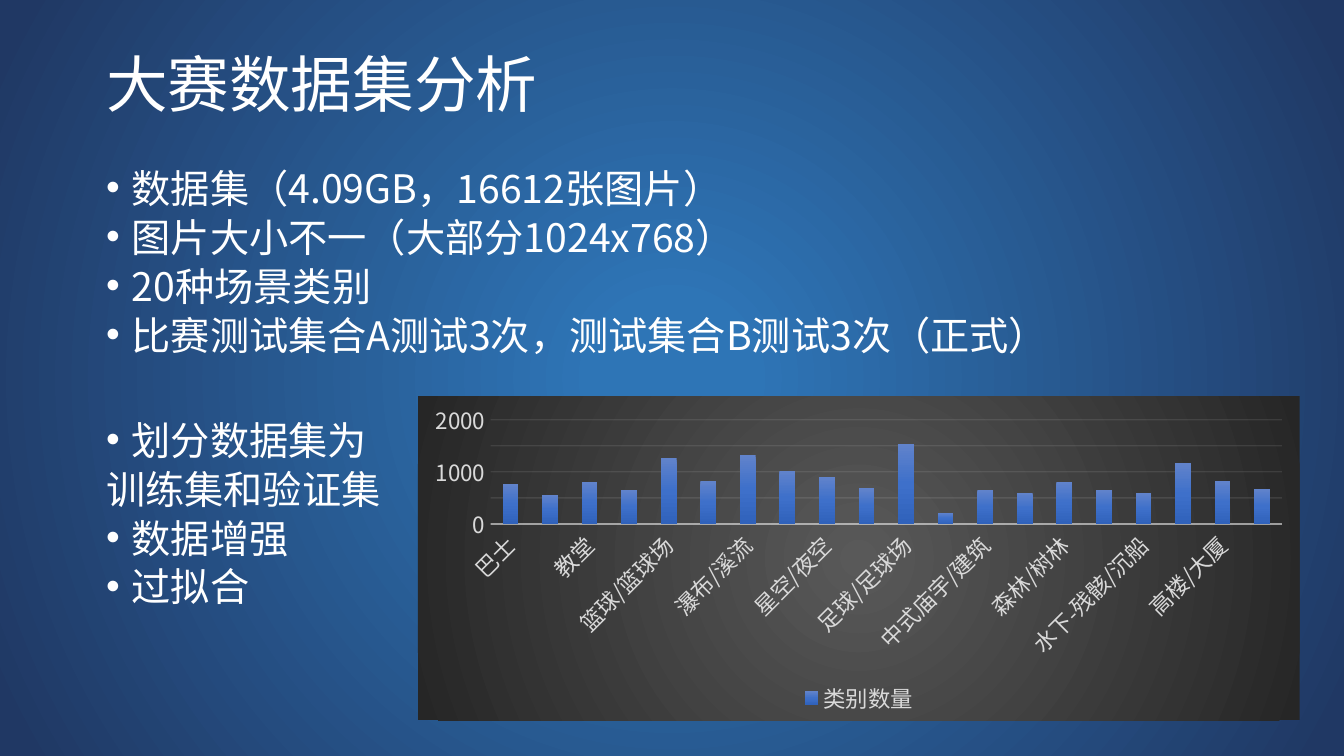
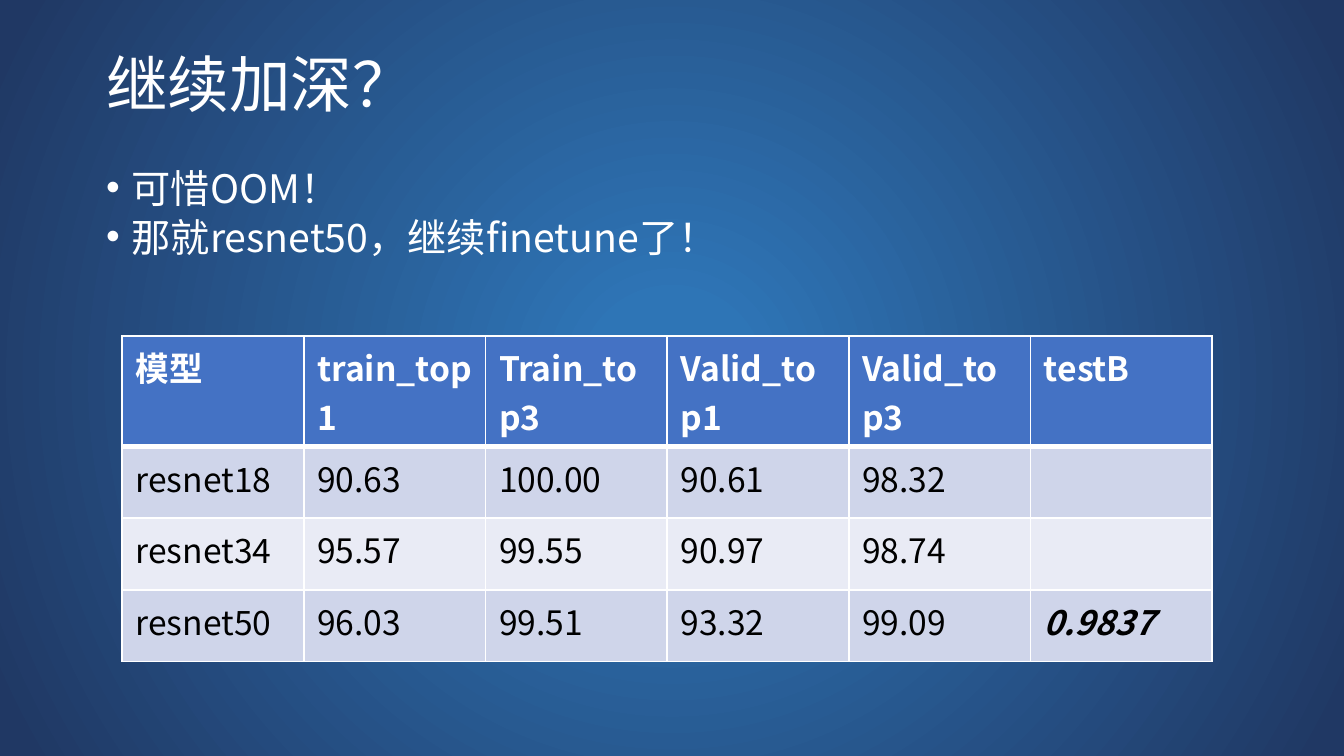
from lxml import etree
from pptx import Presentation
from pptx.chart.data import CategoryChartData
from pptx.dml.color import RGBColor
from pptx.enum.chart import XL_CHART_TYPE, XL_LEGEND_POSITION, XL_TICK_MARK
from pptx.enum.text import MSO_ANCHOR, MSO_AUTO_SIZE, PP_ALIGN
from pptx.oxml import parse_xml
from pptx.oxml.ns import nsdecls, qn
from pptx.util import Inches, Pt

STACKED = XL_CHART_TYPE.COLUMN_STACKED
BOTTOM = XL_LEGEND_POSITION.BOTTOM
NO_TICK = XL_TICK_MARK.NONE
MIDDLE, TOP = MSO_ANCHOR.MIDDLE, MSO_ANCHOR.TOP
FIT_TEXT, FIXED = MSO_AUTO_SIZE.TEXT_TO_FIT_SHAPE, MSO_AUTO_SIZE.NONE
LEFT = PP_ALIGN.LEFT

PAGE_WIDTH = Inches(10)
PAGE_HEIGHT = PAGE_WIDTH * 9 // 16
FONT = "Noto Sans CJK SC"
COLORS = {
    "white": "FFFFFF", "black": "000000",
    "glow": "2E75B6", "navy": "203864",
    "header": "4472C4", "band": "CFD5EA", "light_band": "E9EBF5",
    "panel": "595959", "panel_edge": "262626",
    "label": "D9D9D9", "rule": "F2F2F2",
    "bar_top": "6183CB", "bar_middle": "3E70CA", "bar_bottom": "3062BB",
}
TITLE_BOX = (0.69, 0.3, 7.7, 0.7)
BODY_BOX = (0.69, 1.24, 8.62, 3.83)
CHART_BOX = (3.11, 2.95, 6.56, 2.41)
TABLE_BOX = (0.91, 2.5, 8.11, 2.13)
HANG = Inches(0.19)
LINE_SPACING = 0.8
GAP = 6
SECTION_GAP = 36.3

DATASET_LINES = [
    {"text": "数据集（4.09GB，16612张图片）"},
    {"text": "图片大小不一（大部分1024x768）"},
    {"text": "20种场景类别"},
    {"text": "比赛测试集合A测试3次，测试集合B测试3次（正式）"},
    {"text": "划分数据集为", "gap": SECTION_GAP},
    {"text": "训练集和验证集", "bullet": False},
    {"text": "数据增强"},
    {"text": "过拟合"},
]
DEPTH_LINES = [{"text": "可惜OOM！"}, {"text": "那就resnet50，继续finetune了！"}]
SCENE_COUNTS = {
    "巴士": 770, "集市": 560, "教堂": 810, "咖啡馆": 660, "篮球/篮球场": 1270,
    "湖泊": 820, "瀑布/溪流": 1330, "水下-珊瑚礁": 1020, "星空/夜空": 900,
    "跳伞": 680, "足球/足球场": 1540, "雪山": 220, "中式庙宇/建筑": 660,
    "滑雪/滑雪场": 600, "森林/树林": 810, "火车站/轨道交通": 660,
    "水下-残骸/沉船": 590, "荒漠/沙漠": 1160, "高楼/大厦": 820, "海滩": 670,
}
RESULTS = [
    ["模型", "train_top1", "Train_top3", "Valid_top1", "Valid_top3", "testB"],
    ["resnet18", "90.63", "100.00", "90.61", "98.32", ""],
    ["resnet34", "95.57", "99.55", "90.97", "98.74", ""],
    ["resnet50", "96.03", "99.51", "93.32", "99.09", "0.9837"],
]


def rgb(name):
    return RGBColor.from_string(COLORS[name])


def set_values(target, values):
    for name, value in values.items():
        setattr(target, name, value)


def place(shape, box):
    names = ("left", "top", "width", "height")
    set_values(shape, dict(zip(names, map(Inches, box))))


def style_font(font, size, color, **values):
    set_values(font, {"size": Pt(size), "name": FONT, **values})
    font.color.rgb = rgb(color)
    etree.SubElement(font._element, qn("a:ea"), typeface=FONT)


def gradient(stops, angle=None):
    marks = "".join(
        f'<a:gs pos="{position * 1000}"><a:srgbClr val="{COLORS[name]}"/></a:gs>'
        for position, name in stops)
    if angle is None:
        course = ('<a:path path="circle">'
                  '<a:fillToRect l="50000" t="50000" r="50000" b="50000"/></a:path>')
    else:
        course = f'<a:lin ang="{angle * 60000}" scaled="0"/>'
    return parse_xml(f'<a:gradFill {nsdecls("a")} rotWithShape="1">'
                     f'<a:gsLst>{marks}</a:gsLst>{course}</a:gradFill>')


def set_backdrop(master):
    fill = master.background.fill
    fill.solid()
    solid = next(master.element.iter(qn("a:solidFill")))
    solid.getparent().replace(
        solid, gradient([(0, "glow"), (10, "glow"), (97, "navy")]))


def add_title(page, text, box):
    title = page.shapes.title
    place(title, box)
    frame = title.text_frame
    set_values(frame, {"vertical_anchor": MIDDLE, "word_wrap": True,
                       "auto_size": FIT_TEXT})
    para = frame.paragraphs[0]
    set_values(para, {"alignment": LEFT, "line_spacing": 0.9})
    span = para.add_run()
    span.text = text
    style_font(span.font, 33, "white")


def add_list(page, lines, box):
    body = page.placeholders[1]
    place(body, box)
    frame = body.text_frame
    set_values(frame, {"vertical_anchor": TOP, "word_wrap": True,
                       "auto_size": FIXED})
    for index, line in enumerate(lines):
        para = frame.add_paragraph() if index else frame.paragraphs[0]
        set_values(para, {"line_spacing": LINE_SPACING,
                          "space_before": Pt(line.get("gap", GAP))})
        span = para.add_run()
        span.text = line["text"]
        style_font(span.font, 21, "white")
        bulleted = line.get("bullet", True)
        props = para._p.get_or_add_pPr()
        props.set("marL", str(HANG if bulleted else 0))
        props.set("indent", str(-HANG if bulleted else 0))
        if bulleted:
            etree.SubElement(props, qn("a:buFont"), typeface="Arial")
            etree.SubElement(props, qn("a:buChar"), char="•")
        else:
            etree.SubElement(props, qn("a:buNone"))


def style_line(line, width, opacity):
    line.width = Pt(width)
    line.color.rgb = rgb("rule")
    color = next(line._ln.iter(qn("a:srgbClr")))
    etree.SubElement(color, qn("a:alpha"), val=str(opacity * 1000))


def style_axis(axis):
    set_values(axis, {"major_tick_mark": NO_TICK, "minor_tick_mark": NO_TICK})
    style_font(axis.tick_labels.font, 12, "label")


def add_scene_chart(page, box):
    data = CategoryChartData()
    data.categories = SCENE_COUNTS
    data.add_series("类别数量", SCENE_COUNTS.values())
    chart = page.shapes.add_chart(STACKED, *map(Inches, box), data).chart
    set_values(chart, {"has_title": False, "has_legend": True})
    style_font(chart.font, 10, "black")
    set_values(chart.legend, {"position": BOTTOM, "include_in_layout": False})
    style_font(chart.legend.font, 12, "label")

    area = parse_xml(f'<c:spPr {nsdecls("c", "a")}><a:ln><a:noFill/></a:ln></c:spPr>')
    area.insert(0, gradient([(0, "panel"), (100, "panel_edge")]))
    chart._chartSpace.find(qn("c:txPr")).addprevious(area)

    categories, values = chart.category_axis, chart.value_axis
    for axis in (categories, values):
        style_axis(axis)
    label_frame = categories._element.find(qn("c:txPr")).find(qn("a:bodyPr"))
    label_frame.set("rot", "-60000000")
    label_frame.set("vert", "horz")
    style_line(categories.format.line, 1, 54)
    values.format.line.fill.background()
    values.has_major_gridlines = True
    style_line(values.major_gridlines.format.line, 0.75, 10)

    plot = chart.plots[0]
    set_values(plot, {"gap_width": 150, "overlap": 100, "vary_by_categories": False})
    fill = plot.series[0].format.fill
    fill.solid()
    solid = next(plot.series[0]._element.iter(qn("a:solidFill")))
    solid.getparent().replace(solid, gradient(
        [(0, "bar_top"), (50, "bar_middle"), (100, "bar_bottom")], 90))


def set_borders(cell, widths):
    props = cell._tc.get_or_add_tcPr()
    for index, (side, width) in enumerate(widths.items()):
        props.insert(index, parse_xml(
            f'<a:ln{side} {nsdecls("a")} w="{Pt(width)}"><a:solidFill>'
            f'<a:srgbClr val="{COLORS["white"]}"/></a:solidFill></a:ln{side}>'))


def add_results_table(page, box):
    left, top, width, height = map(Inches, box)
    table = page.shapes.add_table(
        len(RESULTS), len(RESULTS[0]), left, top, width, height).table
    for row, texts in enumerate(RESULTS):
        header = row == 0
        fill = "header" if header else "band" if row % 2 else "light_band"
        top_width = 3 if row == 1 else 1
        widths = {"L": 1, "R": 1, "T": top_width, "B": 3 if header else 1}
        for column, text in enumerate(texts):
            cell = table.cell(row, column)
            cell.fill.solid()
            cell.fill.fore_color.rgb = rgb(fill)
            set_borders(cell, widths)
            para = cell.text_frame.paragraphs[0]
            if not text:
                para.font.size = Pt(18)
                continue
            span = para.add_run()
            span.text = text
            best = not header and column == len(texts) - 1
            style_font(span.font, 18, "white" if header else "black",
                       bold=header or best, italic=best)


def add_page(deck, title, lines):
    page = deck.slides.add_slide(deck.slide_layouts[1])
    add_title(page, title, TITLE_BOX)
    add_list(page, lines, BODY_BOX)
    return page


def main():
    deck = Presentation()
    set_values(deck, {"slide_width": PAGE_WIDTH, "slide_height": PAGE_HEIGHT})
    set_backdrop(deck.slide_master)
    add_scene_chart(add_page(deck, "大赛数据集分析", DATASET_LINES), CHART_BOX)
    add_results_table(add_page(deck, "继续加深？", DEPTH_LINES), TABLE_BOX)
    deck.save("out.pptx")


if __name__ == "__main__":
    main()
